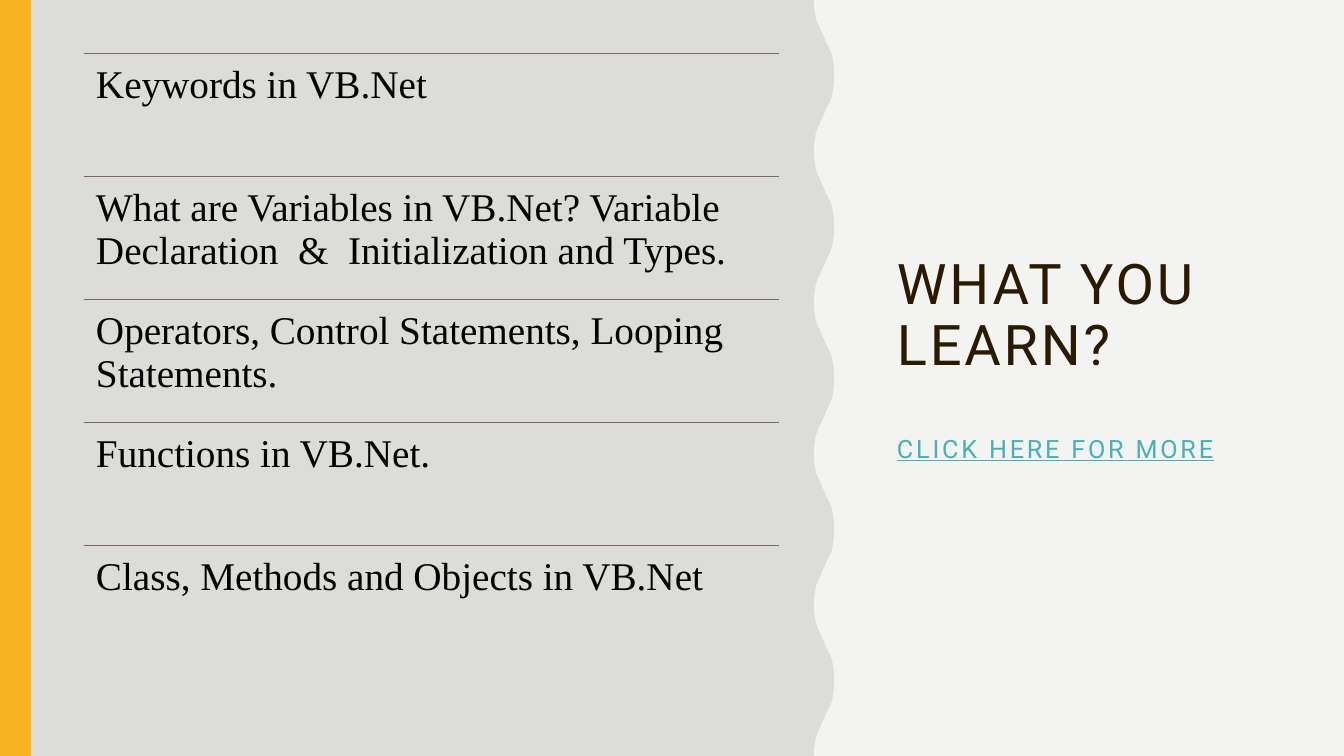
from dataclasses import dataclass

from pptx import Presentation
from pptx import util as u
from pptx.dml.color import RGBColor
from pptx.enum import shapes, text
from pptx.oxml.ns import qn
from lxml import etree


@dataclass(frozen=True)
class Theme:
    page: str = "F3F3F2"
    panel: str = "DCDCD9"
    accent: str = "F8B323"
    heading: str = "2A1A00"
    link: str = "46B2B5"
    rule: str = "826276"
    body: str = "000000"
    heading_font: str = "Roboto"
    body_font: str = "Times New Roman"
    heading_size: int = 40
    link_size: int = 18
    body_size: int = 28
    rule_width: float = 0.5
    line_spacing: float = 0.9
    tracking: int = 2


THEME = Theme()
EMU_PER_PX = 914400 / 100.8
WIDTH, HEIGHT = 1344, 756

TOPICS = [
    "Keywords in VB.Net",
    "What are Variables in VB.Net? Variable Declaration  &  Initialization and Types.",
    "Operators, Control Statements, Looping Statements.",
    "Functions in VB.Net.",
    "Class, Methods and Objects in VB.Net",
]
TOPIC_LEFT, TOPIC_TOP, TOPIC_WIDTH, TOPIC_STEP = 84, 53, 695, 123

WAVE_COUNT = 5
WAVE_LEFT = 814
HALF_WAVE = [
    (0, 0), (0, 7), (1, 13), (2, 19), (4, 24), (6, 28), (8, 33), (10, 37),
    (12, 42), (14, 46), (16, 50), (18, 55), (19, 61), (20, 68), (20, 75),
]


def px(length):
    return u.Emu(round(length * EMU_PER_PX))


def color(value):
    return RGBColor.from_string(value)


def paint(shape, fill):
    shape.shadow.inherit = False
    shape.fill.solid()
    shape.fill.fore_color.rgb = color(fill)
    shape.line.fill.background()


def add_bar(page, left, top, width, height, fill):
    bar = page.shapes.add_shape(
        shapes.MSO_SHAPE.RECTANGLE, px(left), px(top), px(width), px(height)
    )
    paint(bar, fill)


def add_wavy_panel(page, fill):
    period = HEIGHT / WAVE_COUNT
    wave = HALF_WAVE + [(x, period - y) for x, y in reversed(HALF_WAVE)]
    edge = [
        (px(WAVE_LEFT + x), px(period * index + y))
        for index in range(WAVE_COUNT)
        for x, y in wave[1:]
    ]
    builder = page.shapes.build_freeform(0, 0, scale=1.0)
    builder.add_line_segments(
        [(px(WAVE_LEFT), 0)] + edge + [(0, px(HEIGHT))], close=True
    )
    paint(builder.convert_to_shape(), fill)


def add_rule(page, left, top, width):
    rule = page.shapes.add_connector(
        shapes.MSO_CONNECTOR.STRAIGHT, px(left), px(top), px(left + width), px(top)
    )
    rule.line.color.rgb = color(THEME.rule)
    rule.line.width = u.Pt(THEME.rule_width)
    etree.SubElement(rule._element.spPr, qn("a:effectLst"))


def add_box(page, left, top, width, height, anchor, inset_x, inset_y):
    box = page.shapes.add_textbox(px(left), px(top), px(width), px(height))
    frame = box.text_frame
    frame.word_wrap = True
    frame.vertical_anchor = anchor
    frame.margin_left = frame.margin_right = px(inset_x)
    frame.margin_top = frame.margin_bottom = px(inset_y)
    return frame


def add_span(para, words, font, size, fill, tracking=0, underline=False):
    para.line_spacing = THEME.line_spacing
    span = para.add_run()
    span.text = words
    span.font.name = font
    span.font.size = u.Pt(size)
    span.font.color.rgb = color(fill)
    if underline:
        span.font.underline = True
    if tracking:
        span.font._element.set("spc", str(tracking * 100))


def add_topic(page, top, words):
    add_rule(page, TOPIC_LEFT, top, TOPIC_WIDTH)
    frame = add_box(
        page, TOPIC_LEFT, top, TOPIC_WIDTH, TOPIC_STEP, text.MSO_ANCHOR.TOP, 12, 12
    )
    add_span(
        frame.paragraphs[0], words, THEME.body_font, THEME.body_size, THEME.body
    )


def add_heading(page):
    frame = add_box(page, 887, 53, 403, 614, text.MSO_ANCHOR.MIDDLE, 10, 5)
    add_span(
        frame.paragraphs[0], "WHAT YOU LEARN?", THEME.heading_font,
        THEME.heading_size, THEME.heading, THEME.tracking,
    )
    para = frame.add_paragraph()
    para.space_before = u.Pt(42)
    add_span(
        para, "CLICK HERE FOR MORE", THEME.heading_font,
        THEME.link_size, THEME.link, THEME.tracking, underline=True,
    )


def main():
    deck = Presentation()
    deck.slide_width, deck.slide_height = px(WIDTH), px(HEIGHT)
    page = deck.slides.add_slide(deck.slide_layouts[6])
    page.background.fill.solid()
    page.background.fill.fore_color.rgb = color(THEME.page)
    add_wavy_panel(page, THEME.panel)
    add_bar(page, 0, 0, 31, HEIGHT, THEME.accent)
    add_heading(page)
    for index, words in enumerate(TOPICS):
        add_topic(page, TOPIC_TOP + index * TOPIC_STEP, words)
    deck.save("out.pptx")


if __name__ == "__main__":
    main()
